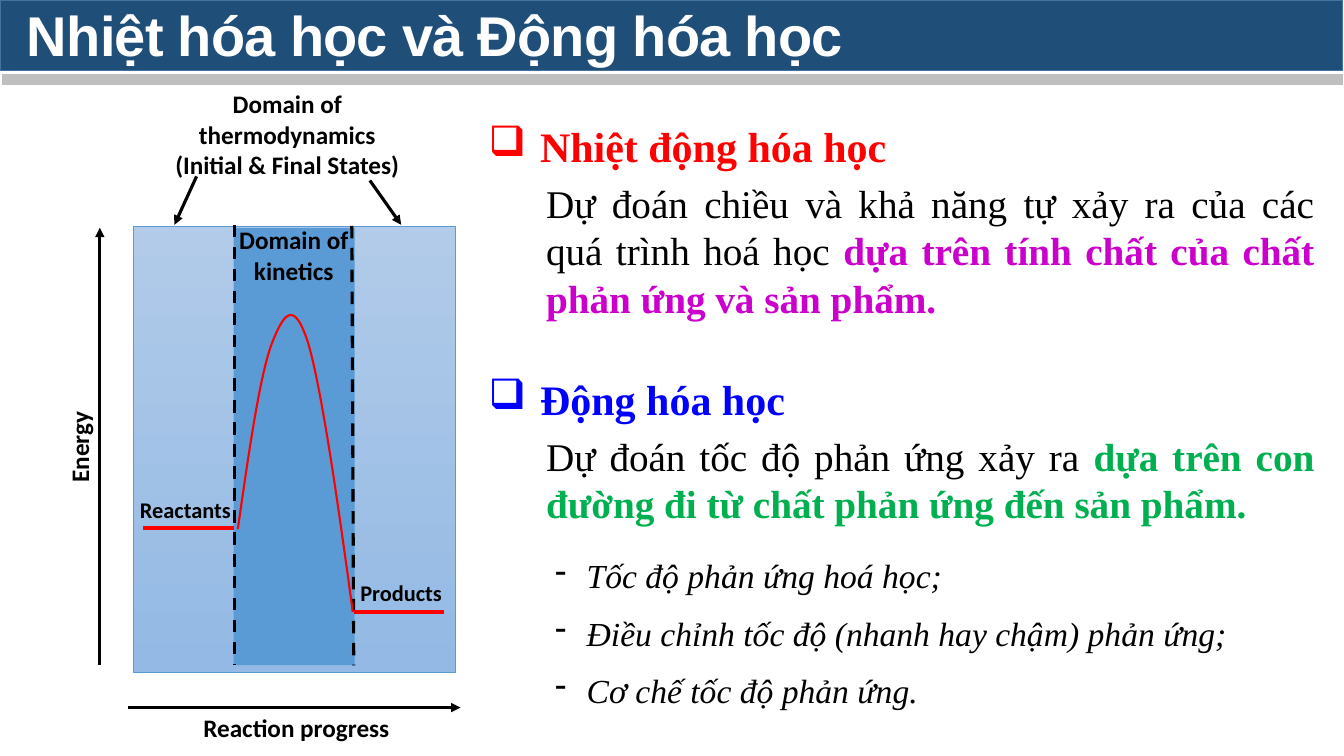
from lxml import etree
from pptx import Presentation
from pptx.dml.color import RGBColor
from pptx.enum.dml import MSO_LINE
from pptx.enum.shapes import MSO_CONNECTOR, MSO_SHAPE
from pptx.enum.text import PP_ALIGN
from pptx.oxml.ns import qn
from pptx.util import Pt

RECT, STRAIGHT = MSO_SHAPE.RECTANGLE, MSO_CONNECTOR.STRAIGHT
LEFT, CENTER, JUSTIFY = PP_ALIGN.LEFT, PP_ALIGN.CENTER, PP_ALIGN.JUSTIFY
DASH = MSO_LINE.DASH

WHITE = RGBColor(0xFF, 0xFF, 0xFF)
BLACK = RGBColor(0, 0, 0)
GRAY = RGBColor(0xBF, 0xBF, 0xBF)
NAVY = RGBColor(0x1F, 0x4E, 0x79)
STEEL = RGBColor(0x43, 0x73, 0x9E)
SKY = RGBColor(0x5B, 0x9B, 0xD5)
PALE = RGBColor(0xB1, 0xCB, 0xE9)
SOFT = RGBColor(0x93, 0xB9, 0xE4)
RED = RGBColor(0xFF, 0, 0)
BLUE = RGBColor(0, 0, 0xFF)
PURPLE = RGBColor(0xCC, 0, 0xCC)
GREEN = RGBColor(0, 0xB0, 0x50)

SERIF = "Times New Roman"
CURVE = [
    [(169.9, 378), (177.8, 322.6), (185.8, 267.1), (194.4, 244.8)],
    [(194.4, 244.8), (203, 223.2), (210.2, 213.8), (220.3, 245.5)],
    [(220.3, 245.5), (229.7, 277.9), (241.2, 357.1), (252, 437)],
]


def add_rect(slide, x, y, w, h, color, edge=None, width=0):
    rect = slide.shapes.add_shape(RECT, Pt(x), Pt(y), Pt(w), Pt(h))
    rect.shadow.inherit = False
    rect.fill.solid()
    rect.fill.fore_color.rgb = color
    if edge is None:
        rect.line.fill.background()
    else:
        rect.line.color.rgb = edge
        rect.line.width = Pt(width)
    return rect


def add_line(slide, x1, y1, x2, y2, color=BLACK, width=2.25, dash=None, arrow=False):
    line = slide.shapes.add_connector(STRAIGHT, Pt(x1), Pt(y1), Pt(x2), Pt(y2))
    line.line.color.rgb = color
    line.line.width = Pt(width)
    if dash is not None:
        line.line.dash_style = dash
    if arrow:
        etree.SubElement(line.line._get_or_add_ln(), qn("a:tailEnd"), type="triangle")
    etree.SubElement(line._element.spPr, qn("a:effectLst"))


def add_box(slide, x, y, w, h, wrap=True):
    box = slide.shapes.add_textbox(Pt(x), Pt(y), Pt(w), Pt(h))
    box.text_frame.word_wrap = wrap
    return box


def style(font, name, size, color, bold=False, italic=False):
    font.name, font.size = name, Pt(size)
    font.bold, font.italic = bold, italic
    font.color.rgb = color


def indent(para, left, first, bullet=None):
    props = para._p.get_or_add_pPr()
    props.set("marL", str(Pt(left)))
    props.set("indent", str(Pt(first)))
    if bullet:
        etree.SubElement(props, qn("a:buChar"), char=bullet)


def add_label(slide, x, y, w, h, text, size=18, align=CENTER, wrap=False):
    box = add_box(slide, x, y, w, h, wrap)
    box.text_frame.text = text
    for para in box.text_frame.paragraphs:
        para.alignment = align
        for run in para.runs:
            style(run.font, "Calibri", size, BLACK, bold=True)
    return box


def add_title(slide, text):
    box = add_box(slide, 12.2, 4.3, 933.8, 46.1)
    para = box.text_frame.paragraphs[0]
    para.text = text
    para.line_spacing = 0.85
    run = para.runs[0]
    style(run.font, "Arial", 40, WHITE, bold=True)
    run._r.get_or_add_rPr().set("spc", "-50")


def add_topic(slide, y, h, head, color, plain, strong, accent):
    """Bulleted heading over a justified paragraph with a coloured ending."""
    frame = add_box(slide, 311, y, 635, h).text_frame
    para = frame.paragraphs[0]
    para.text = head
    indent(para, 67.7, -36.7, "❑")
    para.space_after = Pt(6)
    style(para.runs[0].font, SERIF, 30, color, bold=True)

    body = frame.add_paragraph()
    body.level = 1
    body.alignment = JUSTIFY
    indent(body, 72, 0)
    for text, tint, bold in ((plain, BLACK, False), (strong, accent, True)):
        run = body.add_run()
        run.text = text
        style(run.font, SERIF, 28, tint, bold=bold)


def add_list(slide, items):
    frame = add_box(slide, 389.5, 393.1, 506.9, 118.8, wrap=False).text_frame
    frame.text = "\n".join(items)
    for para in frame.paragraphs:
        indent(para, 22.5, -22.5, "-")
        style(para.runs[0].font, SERIF, 24, BLACK, italic=True)
    for para in frame.paragraphs[:-1]:
        para.space_after = Pt(12)


def bezier(ends, t):
    weights = ((1 - t) ** 3, 3 * t * (1 - t) ** 2, 3 * t * t * (1 - t), t ** 3)
    return tuple(Pt(sum(k * p[i] for k, p in zip(weights, ends))) for i in (0, 1))


def add_curve(slide, steps=16):
    points = [bezier(part, n / steps) for part in CURVE for n in range(1, steps + 1)]
    build = slide.shapes.build_freeform(*bezier(CURVE[0], 0))
    build.add_line_segments(points, close=False)
    curve = build.convert_to_shape()
    curve.shadow.inherit = False
    curve.fill.background()
    curve.line.color.rgb = RED
    curve.line.width = Pt(1.5)


def add_diagram(slide):
    add_label(slide, 112.3, 59.8, 185.8, 72.7,
              "Domain of thermodynamics (Initial & Final States)", wrap=True)
    add_label(slide, 138.2, 505.4, 148.3, 28.8, "Reaction progress", align=LEFT)
    field = add_rect(slide, 95, 162, 230.4, 318.2, PALE, SKY, 0.5)
    field.fill.gradient()
    field.fill.gradient_angle = 270
    for stop, color in zip(field.fill.gradient_stops, (PALE, SOFT)):
        stop.color.rgb = color
    add_rect(slide, 167, 162.7, 86.4, 312.5, SKY)

    add_line(slide, 167.8, 160.6, 167.8, 475.2, dash=DASH)
    add_line(slide, 251.3, 161.3, 252.7, 475.2, dash=DASH)
    for x, y in ((102.2, 377.3), (252.7, 437)):
        add_line(slide, x, y, x + 64.8, y, RED, 3)
    for ends in ((91.4, 505.4, 329, 505.4), (71.3, 475.2, 71.3, 162.7),
                 (140.4, 126, 124.6, 160.6), (264.2, 128.9, 286.6, 160.6)):
        add_line(slide, *ends, arrow=True)

    energy = add_label(slide, 23.8, 304.6, 65.5, 28.8, "Energy", align=LEFT)
    energy.rotation = 270
    add_label(slide, 159.8, 157, 100.1, 51.1, "Domain of\nkinetics", wrap=True)
    add_curve(slide)
    add_label(slide, 92.9, 350.6, 79.9, 26.6, "Reactants", 16, LEFT)
    add_label(slide, 249.8, 410.4, 73.4, 26.6, "Products", 16)


def main():
    deck = Presentation()
    deck.slide_width, deck.slide_height = Pt(960), Pt(540)
    slide = deck.slides.add_slide(deck.slide_layouts[6])

    add_line(slide, 1.4, 56.9, 959, 56.9, GRAY, 8)
    add_rect(slide, 0, 0, 959, 50.4, NAVY, STEEL, 1)
    add_title(slide, "Nhiệt hóa học và Động hóa học")
    add_topic(slide, 82.8, 157.7, "Nhiệt động hóa học", RED,
              "Dự đoán chiều và khả năng tự xảy ra của các quá trình hoá học ",
              "dựa trên tính chất của chất phản ứng và sản phẩm.", PURPLE)
    add_topic(slide, 263.5, 121.7, "Động hóa học", BLUE,
              "Dự đoán tốc độ phản ứng xảy ra ",
              "dựa trên con đường đi từ chất phản ứng đến sản phẩm.", GREEN)
    add_diagram(slide)
    add_list(slide, ["Tốc độ phản ứng hoá học;",
                     "Điều chỉnh tốc độ (nhanh hay chậm) phản ứng;",
                     "Cơ chế tốc độ phản ứng."])
    deck.save("out.pptx")


if __name__ == "__main__":
    main()
